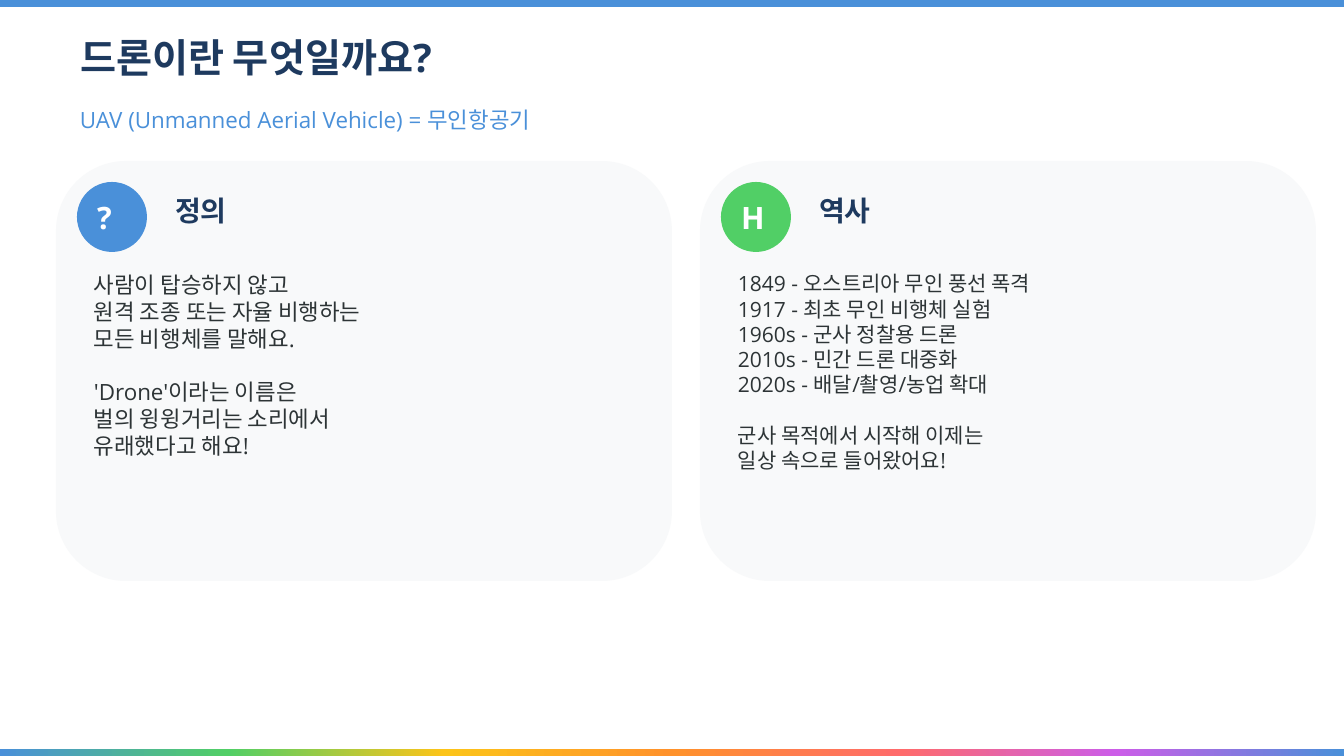
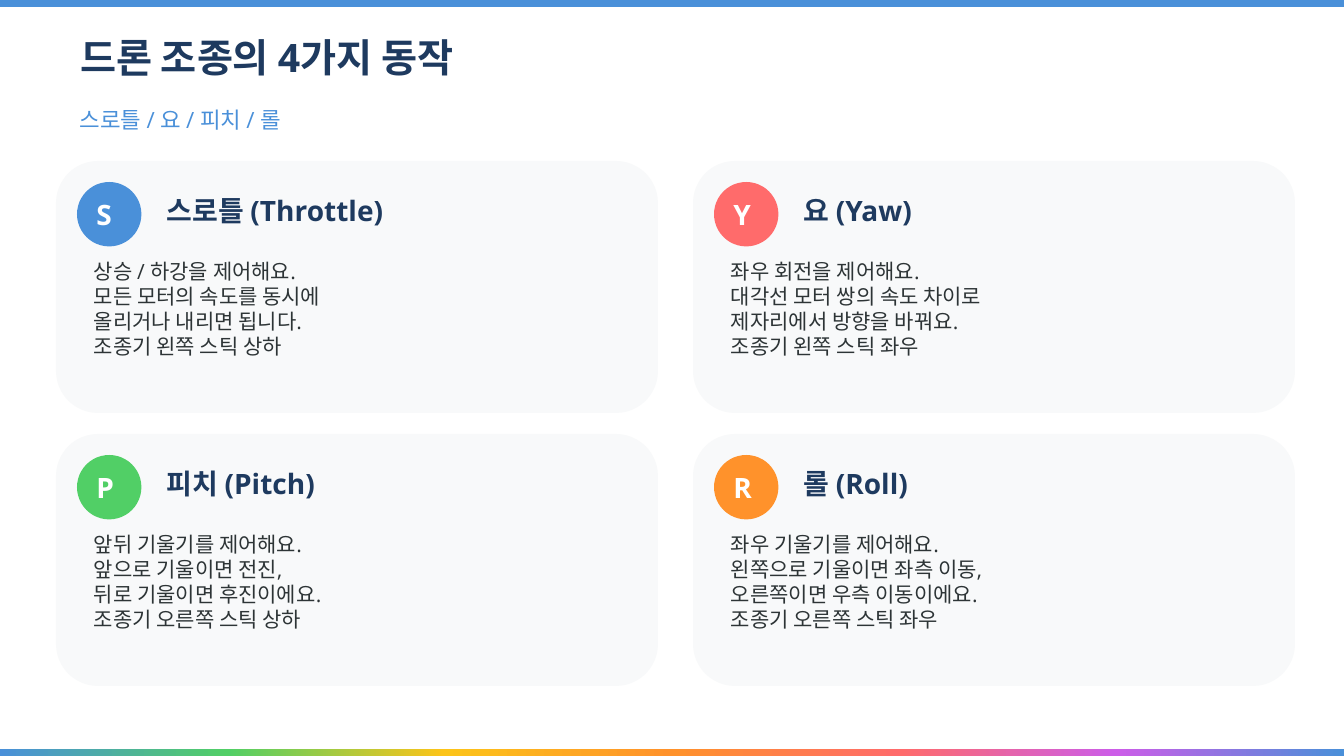
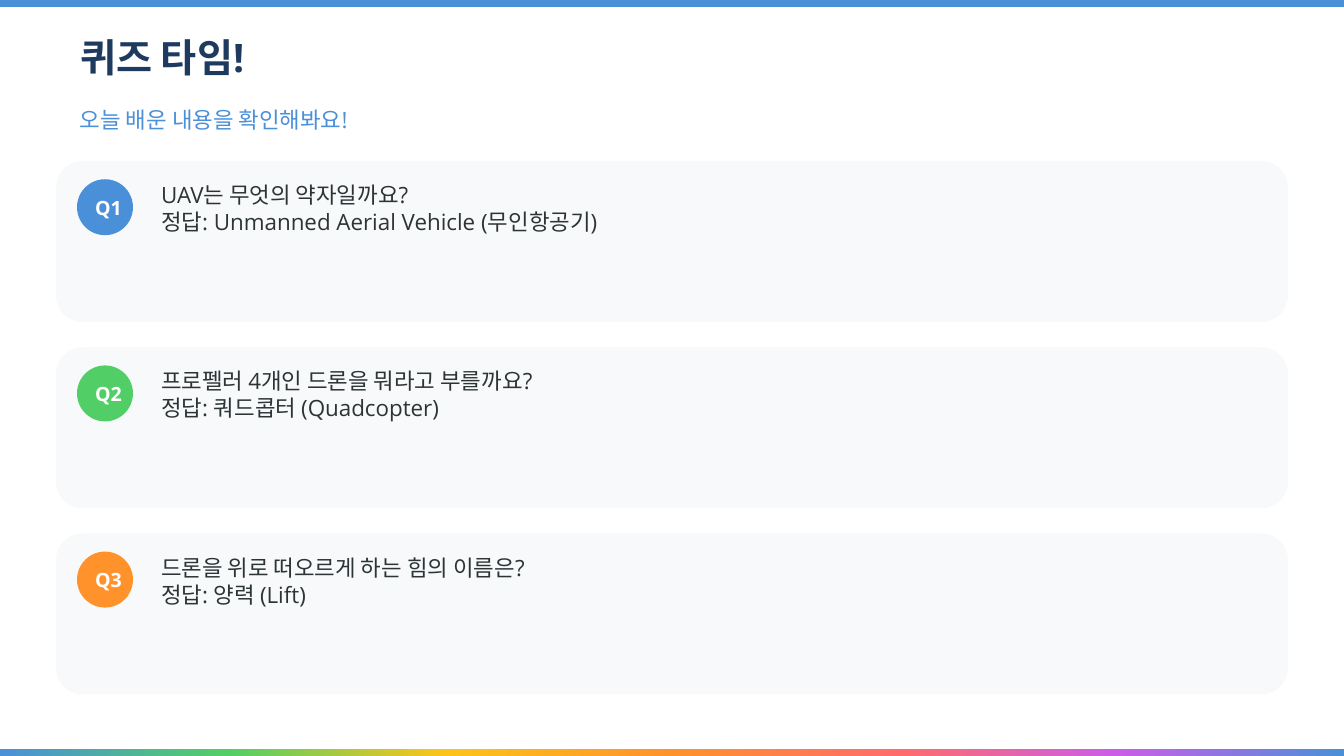
from dataclasses import dataclass

from lxml import etree
from pptx import Presentation
from pptx import util as u
from pptx.dml import color
from pptx.enum import shapes, text
from pptx.oxml import ns

Pt = u.Pt

# Content: each card is (badge, colour name, heading, body size, groups of lines)
SLIDES = [
    {
        "title": "드론이란 무엇일까요?",
        "subtitle": "UAV (Unmanned Aerial Vehicle) = 무인항공기",
        "layout": "pair",
        "cards": [
            ("?", "blue", "정의", 16, [
                ["사람이 탑승하지 않고", "원격 조종 또는 자율 비행하는", "모든 비행체를 말해요."],
                ["'Drone'이라는 이름은", "벌의 윙윙거리는 소리에서", "유래했다고 해요!"],
            ]),
            ("H", "green", "역사", 15, [
                ["1849 - 오스트리아 무인 풍선 폭격", "1917 - 최초 무인 비행체 실험",
                 "1960s - 군사 정찰용 드론", "2010s - 민간 드론 대중화",
                 "2020s - 배달/촬영/농업 확대"],
                ["군사 목적에서 시작해 이제는", "일상 속으로 들어왔어요!"],
            ]),
        ],
    },
    {
        "title": "드론 조종의 4가지 동작",
        "subtitle": "스로틀 / 요 / 피치 / 롤",
        "layout": "quad",
        "cards": [
            ("S", "blue", "스로틀 (Throttle)", 15, [
                ["상승 / 하강을 제어해요.", "모든 모터의 속도를 동시에",
                 "올리거나 내리면 됩니다.", "조종기 왼쪽 스틱 상하"]]),
            ("Y", "red", "요 (Yaw)", 15, [
                ["좌우 회전을 제어해요.", "대각선 모터 쌍의 속도 차이로",
                 "제자리에서 방향을 바꿔요.", "조종기 왼쪽 스틱 좌우"]]),
            ("P", "green", "피치 (Pitch)", 15, [
                ["앞뒤 기울기를 제어해요.", "앞으로 기울이면 전진,",
                 "뒤로 기울이면 후진이에요.", "조종기 오른쪽 스틱 상하"]]),
            ("R", "orange", "롤 (Roll)", 15, [
                ["좌우 기울기를 제어해요.", "왼쪽으로 기울이면 좌측 이동,",
                 "오른쪽이면 우측 이동이에요.", "조종기 오른쪽 스틱 좌우"]]),
        ],
    },
    {
        "title": "퀴즈 타임!",
        "subtitle": "오늘 배운 내용을 확인해봐요!",
        "layout": "rows",
        "cards": [
            ("Q1", "blue", None, 16, [
                ["UAV는 무엇의 약자일까요?", "정답: Unmanned Aerial Vehicle (무인항공기)"]]),
            ("Q2", "green", None, 16, [
                ["프로펠러 4개인 드론을 뭐라고 부를까요?", "정답: 쿼드콥터 (Quadcopter)"]]),
            ("Q3", "orange", None, 16, [
                ["드론을 위로 떠오르게 하는 힘의 이름은?", "정답: 양력 (Lift)"]]),
        ],
    },
]


@dataclass(frozen=True)
class Theme:
    font: str = "Open Sans"
    navy: str = "1E3A5F"
    ink: str = "2D3436"
    card: str = "F8F9FA"
    white: str = "FFFFFF"
    blue: str = "4A90D9"
    green: str = "51CF66"
    yellow: str = "FCC419"
    orange: str = "FF922B"
    red: str = "FF6B6B"
    purple: str = "CC5DE8"
    title_size: int = 28
    subtitle_size: int = 16
    heading_size: int = 20
    line_height: float = 1.2


THEME = Theme()
RAINBOW = [THEME.blue, THEME.green, THEME.yellow, THEME.orange,
           THEME.red, THEME.purple, THEME.blue]

# Geometry in points; part boxes are relative to the card's corner
WIDTH, HEIGHT, BAND = 960, 540, 5
CARDS_LEFT, CARDS_TOP = 40, 115
LAYOUTS = {
    "pair": dict(columns=2, size=(440, 300), gap=(20, 0), badge=(15, 15, 50, 50),
                 badge_size=22, heading=(78, 20, 340, 36), body=(20, 75, 400, 220)),
    "quad": dict(columns=2, size=(430, 180), gap=(25, 15), badge=(15, 15, 46, 46),
                 badge_size=20, heading=(72, 20, 340, 34), body=(20, 66, 390, 102)),
    "rows": dict(columns=1, size=(880, 115), gap=(0, 18), badge=(15, 13, 40, 40),
                 badge_size=14, heading=None, body=(68, 11, 790, 90)),
}


def write(frame, groups, size, ink, bold=False, wrap=True,
          anchor=text.MSO_ANCHOR.TOP, fit=text.MSO_AUTO_SIZE.SHAPE_TO_FIT_TEXT):
    """Write groups of lines, with one line's height between groups."""
    frame.word_wrap, frame.auto_size, frame.vertical_anchor = wrap, fit, anchor
    para = None
    for group in groups:
        for number, line in enumerate(group):
            first = para is None
            para = frame.paragraphs[0] if first else frame.add_paragraph()
            para.alignment = text.PP_ALIGN.LEFT
            if number == 0 and not first:
                para.space_before = Pt(size * THEME.line_height)
            span = para.add_run()
            span.text = line
            span.font.name, span.font.size, span.font.bold = THEME.font, Pt(size), bold
            span.font.color.rgb = color.RGBColor.from_string(ink)


def add_text(page, box, groups, size, ink, **style):
    write(page.shapes.add_textbox(*map(Pt, box)).text_frame, groups, size, ink, **style)


def add_block(page, kind, box, fill):
    block = page.shapes.add_shape(kind, *map(Pt, box))
    block.shadow.inherit = False
    block.line.fill.background()
    block.fill.solid()
    block.fill.fore_color.rgb = color.RGBColor.from_string(fill)
    return block


def fill_rainbow(block):
    """Spread the rainbow colours evenly from left to right."""
    block.fill.gradient()
    block.fill.gradient_angle = 0
    stops = block.fill._fill._gradFill.find(ns.qn("a:gsLst"))
    for stop in list(stops):
        stops.remove(stop)
    for index, shade in enumerate(RAINBOW):
        percent = round(100 * index / (len(RAINBOW) - 1))
        stop = etree.SubElement(stops, ns.qn("a:gs"), pos=str(percent * 1000))
        etree.SubElement(stop, ns.qn("a:srgbClr"), val=shade)


def add_page(deck, title, subtitle):
    """Start a page with the shared title, subtitle and bands."""
    page = deck.slides.add_slide(deck.slide_layouts.get_by_name("Title Only"))
    heading = page.shapes.title
    heading.left, heading.top, heading.width, heading.height = map(Pt, (50, 20, 860, 50))
    write(heading.text_frame, [[title]], THEME.title_size, THEME.navy, bold=True)
    add_text(page, (50, 72, 860, 30), [[subtitle]], THEME.subtitle_size, THEME.blue)
    rectangle = shapes.MSO_SHAPE.RECTANGLE
    add_block(page, rectangle, (0, 0, WIDTH, BAND), THEME.blue)
    fill_rainbow(add_block(page, rectangle, (0, HEIGHT - BAND, WIDTH, BAND), THEME.blue))
    return page


def add_card(page, index, card, layout):
    badge, shade, heading, body_size, groups = card
    row, column = divmod(index, layout["columns"])
    (width, height), (gap_x, gap_y) = layout["size"], layout["gap"]
    left = CARDS_LEFT + column * (width + gap_x)
    top = CARDS_TOP + row * (height + gap_y)

    def place(part):
        x, y, w, h = layout[part]
        return left + x, top + y, w, h

    add_block(page, shapes.MSO_SHAPE.ROUNDED_RECTANGLE, (left, top, width, height), THEME.card)
    circle = add_block(page, shapes.MSO_SHAPE.OVAL, place("badge"), getattr(THEME, shade))
    write(circle.text_frame, [[badge]], layout["badge_size"], THEME.white, bold=True,
          wrap=False, anchor=text.MSO_ANCHOR.MIDDLE, fit=text.MSO_AUTO_SIZE.NONE)
    if heading:
        add_text(page, place("heading"), [[heading]], THEME.heading_size, THEME.navy, bold=True)
    add_text(page, place("body"), groups, body_size, THEME.ink)


def main():
    deck = Presentation()
    deck.slide_width, deck.slide_height = Pt(WIDTH), Pt(HEIGHT)
    for content in SLIDES:
        page = add_page(deck, content["title"], content["subtitle"])
        for index, card in enumerate(content["cards"]):
            add_card(page, index, card, LAYOUTS[content["layout"]])
    deck.save("out.pptx")


if __name__ == "__main__":
    main()
